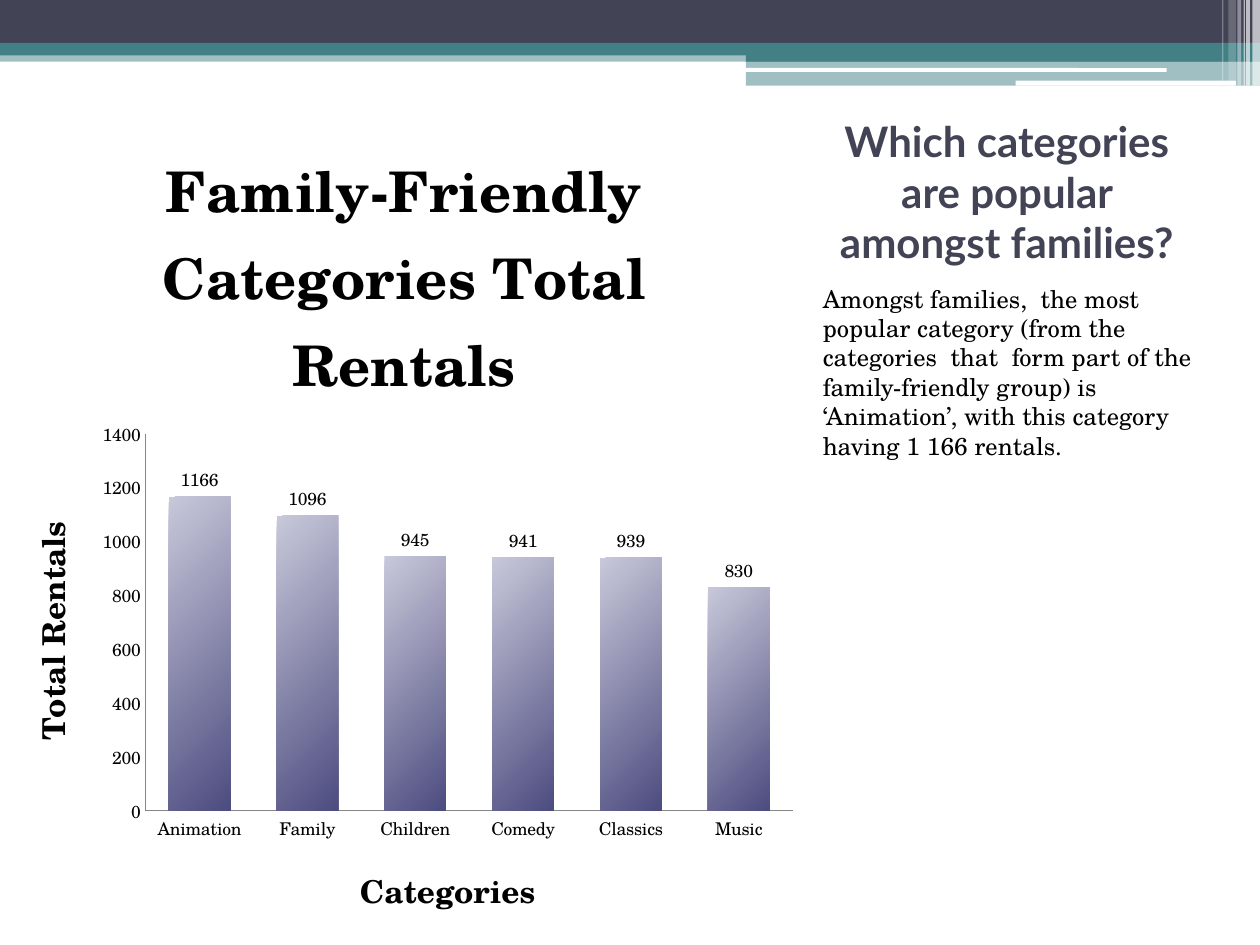
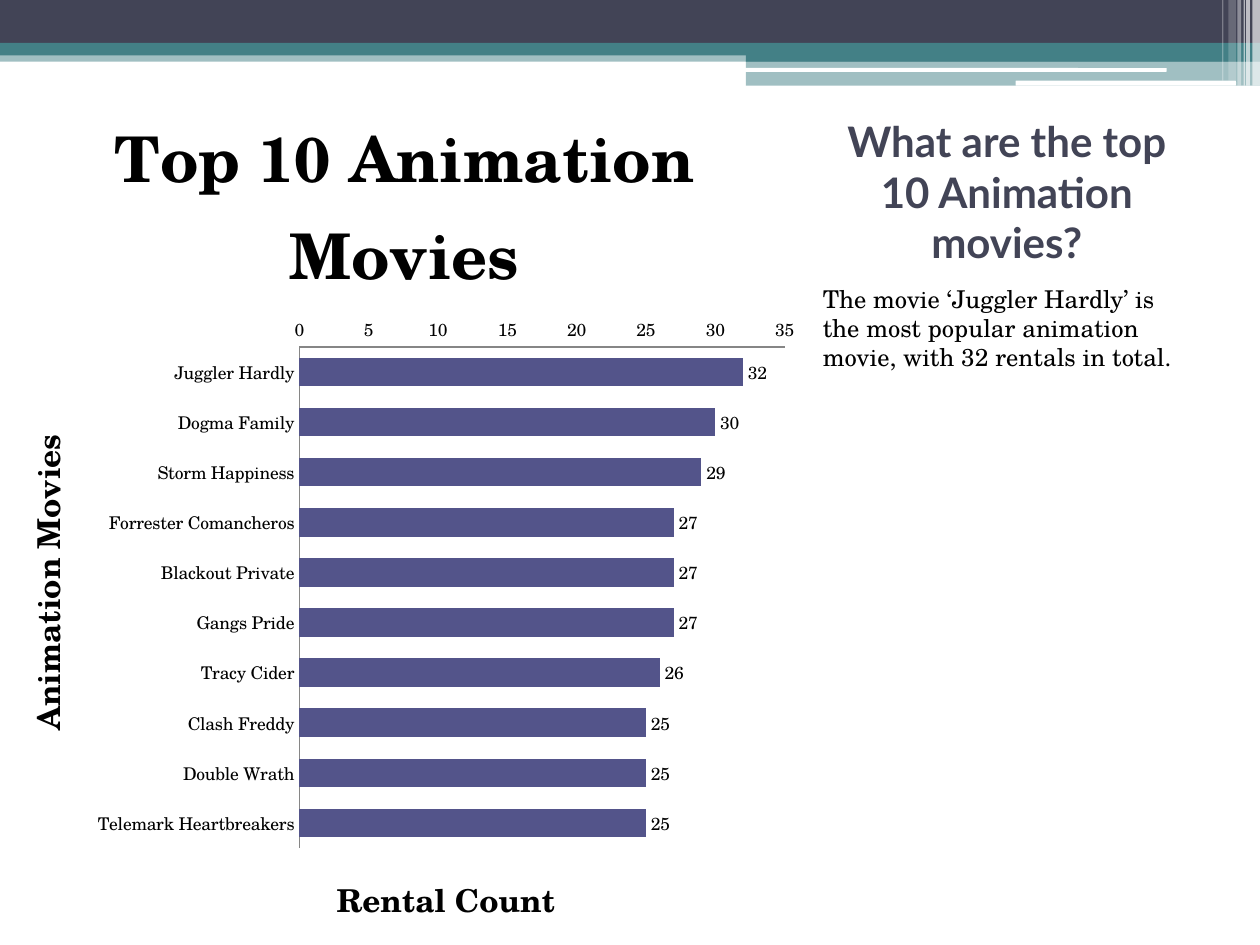
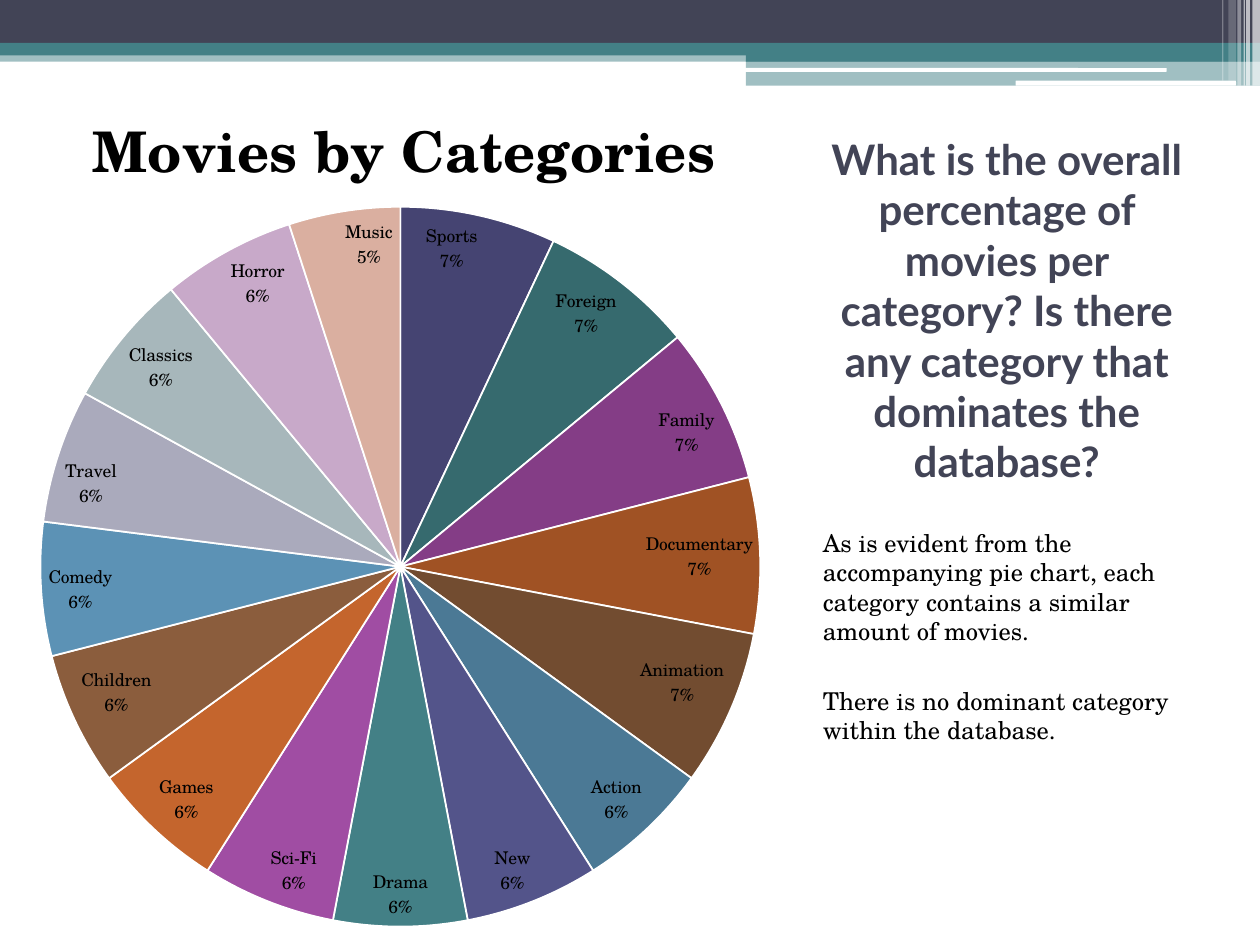
"""Build three slides on film rentals, each with a chart and a short finding."""
from lxml.etree import SubElement
from pptx import Presentation
from pptx.chart.data import CategoryChartData
from pptx.dml.color import RGBColor
from pptx.enum.chart import XL_CHART_TYPE, XL_LABEL_POSITION, XL_TICK_MARK
from pptx.enum.shapes import MSO_SHAPE
from pptx.enum.text import MSO_ANCHOR, MSO_AUTO_SIZE, PP_ALIGN
from pptx.oxml.ns import qn
from pptx.util import Inches, Pt

HUES = {"navy": "424456", "teal": "438086", "white": "FFFFFF", "black": "000000",
        "bar": "53548A", "light": "C8C8DA", "dark": "4D4C80", "axis": "868686"}
SLICES = ["454472", "366A6E", "843D86", "A05224", "724C30", "4B7995",
          "53548A", "438086", "A04DA3", "C4652D", "8B5D3D", "5C92B5",
          "AAAABC", "A7B7BB", "C8A9C9", "DAAFA0"]
HEAD, BODY = "Lato", "TeX Gyre Schola"

BANDS = [
    (0, 0.4, 10, 0.09, "teal", 50), (0, 0, 10, 0.34, "navy", 100),
    (0, 0.34, 10, 0.1, "teal", 100), (5.92, 0.39, 4.08, 0.1, "teal", 100),
    (5.92, 0.48, 4.08, 0.2, "teal", 50), (5.91, 0.54, 3.35, 0.03, "white", 100),
    (8.06, 0.64, 1.75, 0.04, "white", 100), (9.94, 0, 0.06, 0.68, "white", 65),
    (9.89, 0, 0.03, 0.68, "white", 65), (9.87, 0, 0.01, 0.68, "white", 60),
    (9.82, 0, 0.03, 0.68, "white", 40), (9.75, 0, 0.06, 0.64, "white", 20),
    (9.7, 0, 0.01, 0.64, "white", 30),
]

PAGES = [
    {"ask": "Which categories are popular amongst families?",
     "find": ["Amongst families,  the most popular category (from the categories  that  "
              "form part of the family-friendly group) is ‘Animation’, with this category "
              "having 1 166 rentals."],
     "split": 2.17, "top": 0.85, "kind": XL_CHART_TYPE.COLUMN_CLUSTERED,
     "name": "Family-Friendly Categories Total Rentals", "size": 32,
     "axes": ("Categories", "Total Rentals"), "scale": (1400, 200),
     "plot": (0.18, 0.39, 0.8, 0.45),
     "data": {"Animation": 1166, "Family": 1096, "Children": 945, "Comedy": 941,
              "Classics": 939, "Music": 830}},
    {"ask": "What are the top 10 Animation movies?",
     "find": ["The movie ‘Juggler Hardly’ is the most popular animation movie, "
              "with 32 rentals in total."],
     "split": 2.17, "top": 0.52, "kind": XL_CHART_TYPE.BAR_CLUSTERED,
     "name": "Top 10 Animation Movies", "size": 36,
     "axes": ("Animation Movies", "Rental Count"), "scale": (35, 5),
     "plot": (0.37, 0.32, 0.6, 0.57),
     "data": {"Juggler Hardly": 32, "Dogma Family": 30, "Storm Happiness": 29,
              "Forrester Comancheros": 27, "Blackout Private": 27, "Gangs Pride": 27,
              "Tracy Cider": 26, "Clash Freddy": 25, "Double Wrath": 25,
              "Telemark Heartbreakers": 25}},
    {"ask": "What is the overall percentage of movies per category? "
            "Is there any category that dominates the database?",
     "find": ["As is evident from the accompanying pie chart, each category contains "
              "a similar amount of movies.",
              "There is no dominant category within the database."],
     "split": 3.91, "top": 0.52, "kind": XL_CHART_TYPE.PIE,
     "name": "Movies by Categories", "size": 32, "plot": (0.05, 0.16, 0.89, 0.82),
     "data": {"Sports": 7, "Foreign": 7, "Family": 7, "Documentary": 7, "Animation": 7,
              "Action": 6, "New": 6, "Drama": 6, "Sci-Fi": 6, "Games": 6, "Children": 6,
              "Comedy": 6, "Travel": 6, "Classics": 6, "Horror": 6, "Music": 5}},
]


def tint(hue):
    """Turn a hex string into a colour."""
    return RGBColor.from_string(hue)


def style(font, face, size, hue, bold=False):
    """Set face, size, colour and weight of a font."""
    font.name, font.size, font.bold = face, Pt(size), bold
    font.color.rgb = tint(HUES[hue])


prs = Presentation()
prs.slide_width, prs.slide_height = Inches(10), Inches(7.5)
slides = [prs.slides.add_slide(prs.slide_layouts[1]) for page in PAGES]

tree = prs.slide_master.element.cSld.spTree
for num, (left, top, width, height, hue, alpha) in enumerate(BANDS):
    form = MSO_SHAPE.ROUNDED_RECTANGLE if num in (5, 6) else MSO_SHAPE.RECTANGLE
    band = slides[0].shapes.add_shape(
        form, Inches(left), Inches(top), Inches(width), Inches(height))
    band.shadow.inherit = False
    band.line.fill.background()
    band.fill.solid()
    band.fill.fore_color.rgb = tint(HUES[hue])
    if alpha < 100:
        shade = band.element.xpath("./p:spPr/a:solidFill/a:srgbClr")[0]
        SubElement(shade, qn("a:alpha")).set("val", str(alpha * 1000))
    band.element.nvSpPr.cNvPr.set("id", str(20 + num))
    tree.insert(2 + num, band.element)

for slide, page in zip(slides, PAGES):
    title, body = slide.shapes.title, slide.placeholders[1]
    low = page["split"] + (0.03 if page["split"] < 3 else 0.23)
    for box, top, end in ((title, 0.84, page["split"]), (body, low, 7.25)):
        box.left, box.top = Inches(6.42), Inches(top)
        box.width, box.height = Inches(3.14), Inches(end - top)
        box.text_frame.word_wrap = True
        box.text_frame.auto_size = MSO_AUTO_SIZE.NONE
    title.text_frame.text = page["ask"]
    title.text_frame.vertical_anchor = MSO_ANCHOR.BOTTOM
    para = title.text_frame.paragraphs[0]
    para.alignment = PP_ALIGN.CENTER
    style(para.runs[0].font, HEAD, 24, "navy", True)

    body.text_frame.text = "\n".join(page["find"])
    for num, para in enumerate(body.text_frame.paragraphs):
        para.space_before = Pt(23 if num else 3)
        props = para._p.get_or_add_pPr()
        props.set("marL", str(Inches(0.01)))
        props.set("indent", "0")
        SubElement(props, qn("a:buNone"))
        style(para.runs[0].font, BODY, 14, "black")

    data = CategoryChartData()
    data.categories = list(page["data"])
    data.add_series("Series 1", list(page["data"].values()))
    chart = slide.shapes.add_chart(
        page["kind"], Inches(0), Inches(page["top"]), Inches(6.42),
        Inches(7.5 - page["top"]), data).chart
    style(chart.font, BODY, 10, "black")
    chart.has_legend = False
    chart.has_title = True
    chart.chart_title.include_in_layout = page is PAGES[0]
    names = [(chart.chart_title, page["name"], page["size"])]

    plot = chart.plots[0]
    plot.vary_by_categories = False
    plot.has_data_labels = True
    labels, series = plot.data_labels, plot.series[0]
    style(labels.font, BODY, 10, "black")
    if page["kind"] == XL_CHART_TYPE.PIE:
        plot.vary_by_categories = True
        labels.show_value = False
        labels.show_category_name = labels.show_percentage = True
        labels.number_format, labels.number_format_is_linked = "0%", False
        labels.position = XL_LABEL_POSITION.INSIDE_END
        last = chart.element.xpath(".//c:dLbls/c:showBubbleSize")[0]
        mark = last.makeelement(qn("c:separator"))
        mark.text = "\n"
        last.addnext(mark)
        for num, hue in enumerate(SLICES):
            look = series.points[num].format
            look.fill.solid()
            look.fill.fore_color.rgb = tint(hue)
            look.line.color.rgb = tint(HUES["white"])
            look.line.width = Pt(1)
    else:
        plot.gap_width = 75
        labels.show_value = True
        labels.position = XL_LABEL_POSITION.OUTSIDE_END
        series.invert_if_negative = False
        if page["kind"] == XL_CHART_TYPE.COLUMN_CLUSTERED:
            series.format.fill.gradient()
            series.format.fill.gradient_angle = 315
            for stop, hue in zip(series.format.fill.gradient_stops, ("light", "dark")):
                stop.color.rgb = tint(HUES[hue])
        else:
            series.format.fill.solid()
            series.format.fill.fore_color.rgb = tint(HUES["bar"])
            chart.category_axis.reverse_order = True
        for axis, name in zip((chart.category_axis, chart.value_axis), page["axes"]):
            axis.has_major_gridlines = False
            axis.major_tick_mark = axis.minor_tick_mark = XL_TICK_MARK.NONE
            axis.format.line.color.rgb = tint(HUES["axis"])
            style(axis.tick_labels.font, BODY, 10, "black")
            names.append((axis.axis_title, name, 18))
        axis.minimum_scale = 0
        axis.maximum_scale, axis.major_unit = page["scale"]
    for label, name, size in names:
        label.text_frame.text = name
        style(label.text_frame.paragraphs[0].runs[0].font, BODY, size, "black", True)

    area = chart.element.xpath(".//c:plotArea")[0]
    for old in area.findall(qn("c:layout")):
        area.remove(old)
    frame = area.makeelement(qn("c:layout"))
    area.insert(0, frame)
    spot = SubElement(frame, qn("c:manualLayout"))
    parts = [("layoutTarget", "inner"), ("xMode", "edge"), ("yMode", "edge")]
    for key, val in parts + list(zip("xywh", page["plot"])):
        SubElement(spot, qn("c:" + key)).set("val", str(val))

prs.save("out.pptx")
